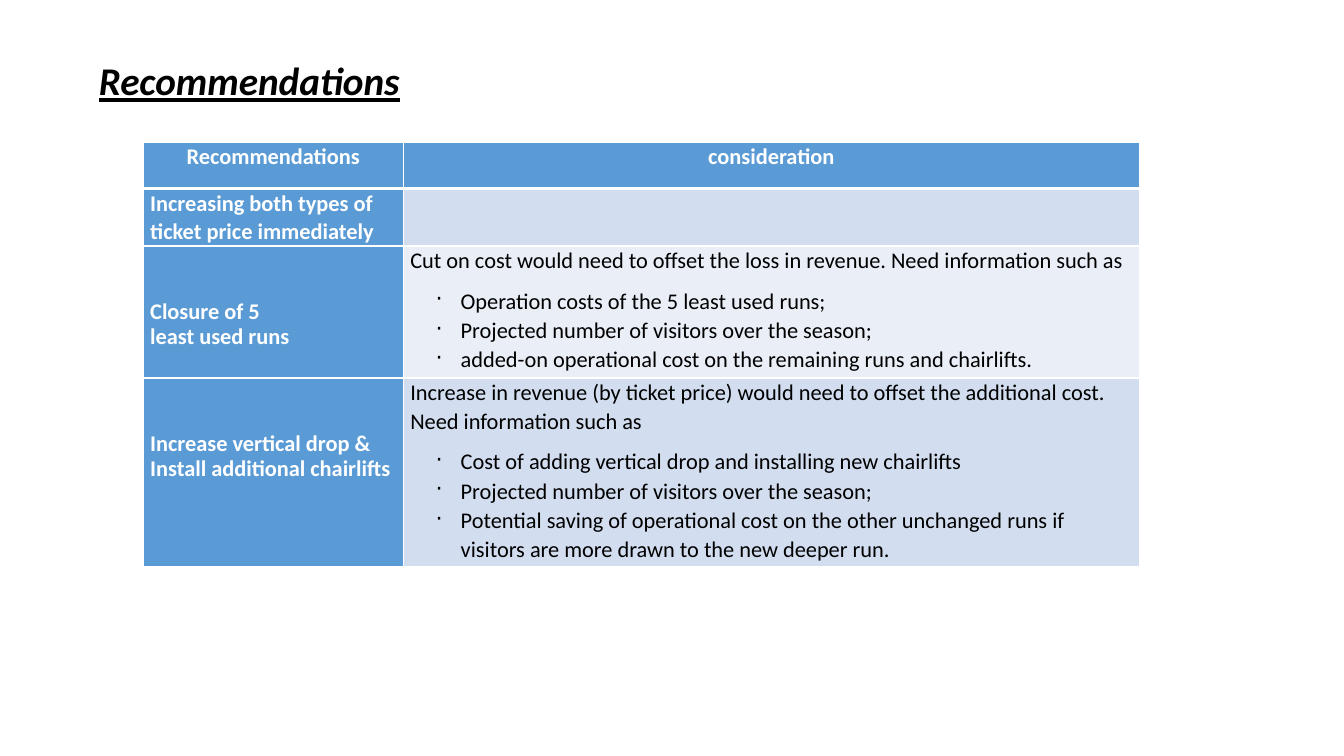
import pptx
import pptx.dml.color
import pptx.enum.text
import pptx.oxml
import pptx.oxml.ns
import pptx.util
import lxml.etree

Inches = pptx.util.Inches
Pt = pptx.util.Pt
ALIGN = pptx.enum.text.PP_ALIGN
ANCHOR = pptx.enum.text.MSO_ANCHOR

BLUE, LIGHT_BLUE, PALE_BLUE = "5B9BD5", "D2DEEF", "EAEFF7"
WHITE, BLACK = "FFFFFF", "000000"

HEADERS = ["Recommendations", "consideration"]
RECOMMENDATIONS = [
    (["Increasing both types of ticket price immediately"], None, []),
    (["Closure of 5", "least used runs"],
     "Cut on cost would need to offset the loss in revenue. Need information such as",
     ["Operation costs of the 5 least used runs;",
      "Projected number of visitors over the season;",
      "added-on operational cost on the remaining runs and chairlifts."]),
    (["Increase vertical drop &", "Install additional chairlifts"],
     "Increase in revenue (by ticket price) would need to offset the additional cost. "
     "Need information such as",
     ["Cost of adding vertical drop and installing new chairlifts",
      "Projected number of visitors over the season;",
      "Potential saving of operational cost on the other unchanged runs if "
      "visitors are more drawn to the new deeper run."]),
]


def rgb(value):
    return pptx.dml.color.RGBColor.from_string(value)


def write(frame, text, size=16, color=BLACK, bold=False, italic=False, underline=False,
          align=ALIGN.LEFT, spacing=1.05, after=8, bullet=False):
    paragraph = frame.paragraphs[0]
    if paragraph.runs:
        paragraph = frame.add_paragraph()
    paragraph.alignment = align
    paragraph.line_spacing = spacing
    paragraph.space_before = Pt(0)
    paragraph.space_after = Pt(after)
    run = paragraph.add_run()
    run.text = text
    font = run.font
    font.name, font.size, font.color.rgb = "Calibri", Pt(size), rgb(color)
    font.bold, font.italic, font.underline = bold, italic, underline
    if bullet:
        properties = paragraph._p.get_or_add_pPr()
        properties.set("marL", str(Inches(0.5)))
        properties.set("indent", str(Inches(-0.25)))
        mark = lxml.etree.SubElement(properties, pptx.oxml.ns.qn("a:buChar"))
        mark.set("char", "·")


def format_cell(cell, color, **thick_sides):
    properties = cell._tc.get_or_add_tcPr()
    for side in "LRTB":
        width = Pt(thick_sides.get(side, 1))
        properties.append(pptx.oxml.parse_xml(
            f'<a:ln{side} {pptx.oxml.ns.nsdecls("a")} w="{width}"><a:solidFill>'
            f'<a:srgbClr val="{WHITE}"/></a:solidFill></a:ln{side}>'))
    cell.fill.solid()
    cell.fill.fore_color.rgb = rgb(color)
    cell.margin_left = cell.margin_right = Inches(0.07)
    cell.margin_top = cell.margin_bottom = 0


def build_title(slide, left, top, width, height):
    title = slide.shapes.title
    title.left, title.top = Inches(left), Inches(top)
    title.width, title.height = Inches(width), Inches(height)
    title.text_frame.vertical_anchor = ANCHOR.MIDDLE
    write(title.text_frame, "Recommendations", size=28, bold=True, italic=True,
          underline=True, spacing=0.9, after=0)


def build_table(slide, left, top, column_widths, row_heights):
    table = slide.shapes.add_table(
        len(row_heights), len(column_widths), Inches(left), Inches(top),
        Inches(sum(column_widths)), Inches(sum(row_heights))).table
    for column, width in zip(table.columns, column_widths):
        column.width = Inches(width)
    for row, height in zip(table.rows, row_heights):
        row.height = Inches(height)

    for column, header in enumerate(HEADERS):
        cell = table.cell(0, column)
        format_cell(cell, BLUE, B=3)
        write(cell.text_frame, header, color=WHITE, bold=True, align=ALIGN.CENTER)

    for row, (names, introduction, needs) in enumerate(RECOMMENDATIONS, start=1):
        top_border = 3 if row == 1 else 1
        name_cell, consideration_cell = table.cell(row, 0), table.cell(row, 1)
        format_cell(name_cell, BLUE, T=top_border)
        format_cell(consideration_cell, LIGHT_BLUE if row % 2 else PALE_BLUE, T=top_border)
        stacked = len(names) > 1
        if stacked:
            name_cell.margin_top = Inches(0.53)
        for name in names:
            write(name_cell.text_frame, name, color=WHITE, bold=True,
                  spacing=0.92 if stacked else 1.05, after=0)
        if introduction:
            write(consideration_cell.text_frame, introduction)
        for need in needs:
            write(consideration_cell.text_frame, need, spacing=1.07, after=0, bullet=True)


presentation = pptx.Presentation()
presentation.slide_width = Inches(13.33)
presentation.slide_height = Inches(7.5)
slide = presentation.slides.add_slide(presentation.slide_layouts.get_by_name("Title Only"))
build_title(slide, 0.88, 0.48, 11.5, 0.69)
build_table(slide, 1.42, 1.41, [2.58, 7.3], [0.46, 0.54, 1.31, 1.87])
presentation.save("out.pptx")
